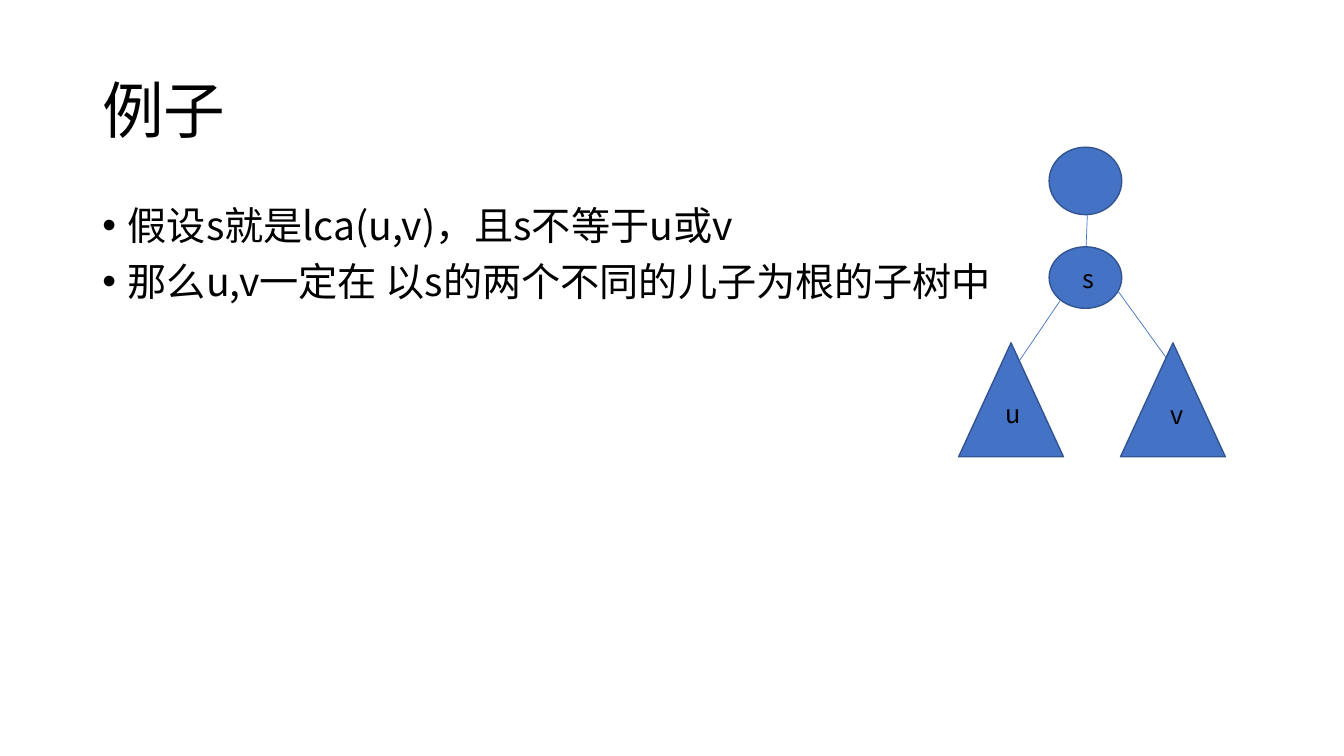
from lxml.etree import SubElement
from pptx import Presentation
from pptx.dml.color import RGBColor
from pptx.enum.shapes import MSO_CONNECTOR as Connector, MSO_SHAPE as Shape
from pptx.enum.text import MSO_ANCHOR as Anchor
from pptx.oxml.ns import qn
from pptx.util import Cm, Pt

FONT = "Noto Sans CJK SC"
BLACK, BLUE, DARK_BLUE = "000000", "4472C4", "325491"


def paint(color_format, color):
    """Set a colour from a hex string."""
    color_format.rgb = RGBColor.from_string(color)


def style_paragraph(paragraph, size):
    """Set the Latin and East Asian font, size and colour of a paragraph."""
    font = paragraph.font
    font.name = FONT
    font.size = Pt(size)
    paint(font.color, BLACK)
    defaults = paragraph._p.get_or_add_pPr().find(qn("a:defRPr"))
    SubElement(defaults, qn("a:ea"), typeface=FONT)


def add_bullet(paragraph):
    """Give a paragraph a bullet with a hanging indent."""
    properties = paragraph._p.get_or_add_pPr()
    properties.set("marL", str(Cm(0.64)))
    properties.set("indent", str(-Cm(0.64)))
    defaults = properties.find(qn("a:defRPr"))
    for tag, name, value in (("a:buFont", "typeface", "Arial"), ("a:buChar", "char", "•")):
        bullet = SubElement(properties, qn(tag))
        bullet.set(name, value)
        defaults.addprevious(bullet)


def add_text(slide, box, lines, size, anchor=Anchor.TOP, wrap=True, spacing=None, bullets=False):
    """Add a text box with one paragraph per line."""
    frame = slide.shapes.add_textbox(*map(Cm, box)).text_frame
    frame.word_wrap = wrap
    frame.vertical_anchor = anchor
    frame.text = "\n".join(lines)
    for paragraph in frame.paragraphs:
        paragraph.line_spacing = spacing
        style_paragraph(paragraph, size)
        if bullets:
            paragraph.space_before = Pt(10)
            add_bullet(paragraph)


def add_node(slide, kind, left, top, width, height):
    """Add a filled and outlined tree node."""
    shape = slide.shapes.add_shape(kind, Cm(left), Cm(top), Cm(width), Cm(height))
    shape.shadow.inherit = False
    shape.fill.solid()
    paint(shape.fill.fore_color, BLUE)
    paint(shape.line.color, DARK_BLUE)
    shape.line.width = Pt(1)


def add_edge(slide, *ends):
    """Add a thin straight tree edge."""
    edge = slide.shapes.add_connector(Connector.STRAIGHT, *map(Cm, ends))
    paint(edge.line.color, BLUE)
    edge.line.width = Pt(0.5)
    SubElement(edge._element.spPr, qn("a:effectLst"))


def add_tree(slide):
    """Draw node s with its parent and the two subtrees holding u and v."""
    add_node(slide, Shape.OVAL, 26.44, 6.22, 1.83, 1.55)
    add_edge(slide, 26.72, 7.57, 25.1, 9.96)
    add_edge(slide, 28.12, 7.26, 29.85, 9.65)
    for left in (24.16, 28.24):
        add_node(slide, Shape.ISOSCELES_TRIANGLE, left, 8.64, 2.64, 2.87)
    for label, left, top in (("s", 27.03, 6.5), ("u", 25.1, 9.91), ("v", 29.24, 9.93)):
        add_text(slide, (left, top, 0.66, 1.02), [label], 18, wrap=False)
    add_node(slide, Shape.OVAL, 26.44, 3.71, 1.83, 1.7)
    add_edge(slide, 27.43, 4.7, 27.36, 6.5)


def main():
    """Build and save the slide."""
    presentation = Presentation()
    presentation.slide_width, presentation.slide_height = Cm(33.87), Cm(19.05)
    slide = presentation.slides.add_slide(presentation.slide_layouts[6])
    add_text(slide, (2.33, 1.01, 29.21, 3.68), ["例子"], 44, anchor=Anchor.MIDDLE, spacing=0.9)
    statements = ["假设s就是lca(u,v)，且s不等于u或v", "那么u,v一定在 以s的两个不同的儿子为根的子树中"]
    add_text(slide, (2.33, 5.07, 29.21, 12.09), statements, 28, spacing=0.9, bullets=True)
    add_tree(slide)
    presentation.save("out.pptx")


if __name__ == "__main__":
    main()
